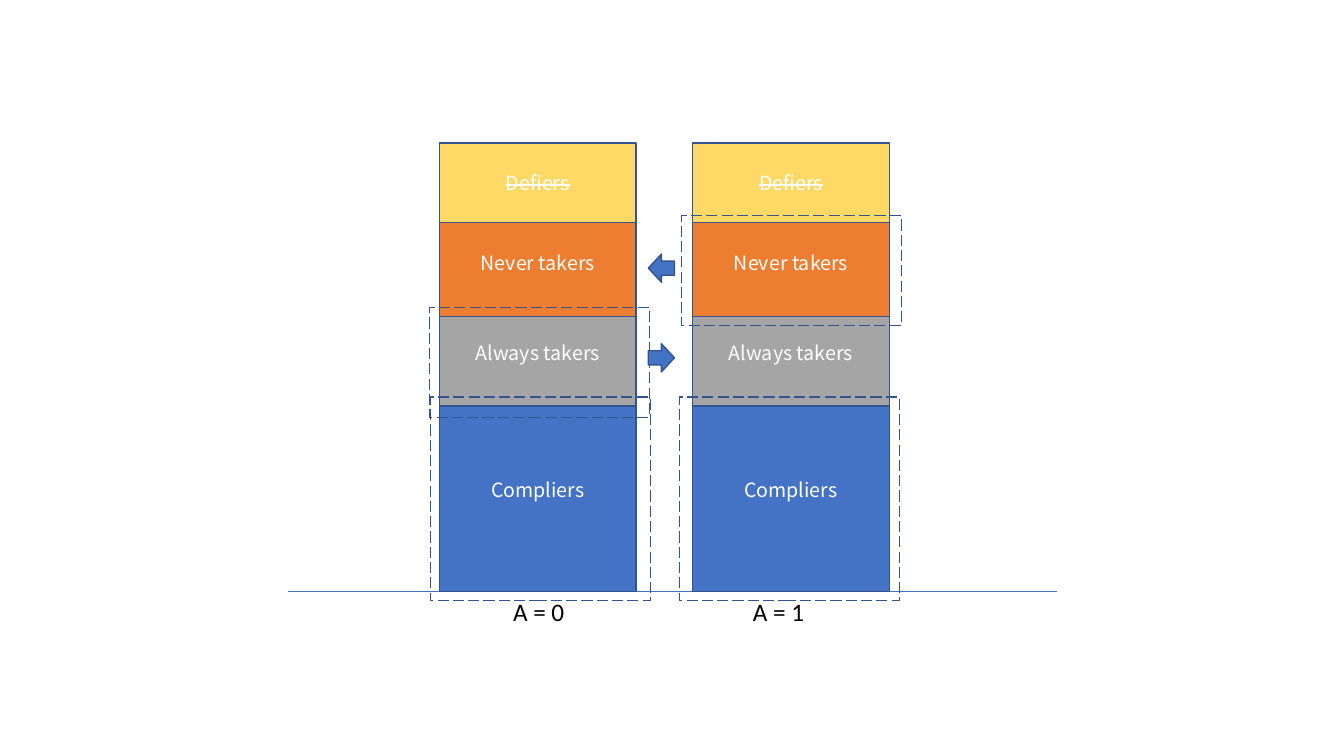
from pptx import Presentation
from pptx.dml.color import RGBColor
from pptx.enum.dml import MSO_LINE
from pptx.enum.shapes import MSO_CONNECTOR, MSO_SHAPE
from pptx.enum.text import MSO_ANCHOR, MSO_AUTO_SIZE, PP_ALIGN
from pptx.oxml.ns import qn
from pptx.util import Inches, Pt
from lxml.etree import SubElement

BLUE, EDGE = "4472C4", "325491"
BASELINE = 5.87
BAR_WIDTH, FRAME_WIDTH = 1.95, 2.18
COMPLIERS_HEIGHT, FRAME_HEIGHT = 2.02, 1.09

# Strata from the bottom up: name, top, height, fill, struck out
STRATA = [
    ("Compliers", 3.85, COMPLIERS_HEIGHT, BLUE, False),
    ("Always takers", 2.96, 1.07, "A5A5A5", False),
    ("Never takers", 2.07, 1.07, "ED7D31", False),
    ("Defiers", 1.42, 0.79, "FFD966", True),
]


def color(hex_code):
    return RGBColor.from_string(hex_code)


def inches(*lengths):
    return [Inches(length) for length in lengths]


def add_run(paragraph, text, font, size, hex_code):
    run = paragraph.add_run()
    run.text = text
    run.font.name = font
    run.font.size = Pt(size)
    run.font.color.rgb = color(hex_code)
    return run


def add_block(slide, kind, box, fill=None):
    """Outlined shape; without a fill it is a dashed frame."""
    block = slide.shapes.add_shape(kind, *inches(*box))
    block.shadow.inherit = False
    block.line.color.rgb = color(EDGE)
    block.line.width = Pt(1)
    if fill:
        block.fill.solid()
        block.fill.fore_color.rgb = color(fill)
    else:
        block.fill.background()
        block.line.dash_style = MSO_LINE.LONG_DASH
    return block


def add_baseline(slide, left, right):
    axis = slide.shapes.add_connector(
        MSO_CONNECTOR.STRAIGHT, *inches(left, BASELINE, right, BASELINE))
    axis.line.color.rgb = color(BLUE)
    axis.line.width = Pt(0.5)
    SubElement(axis._element.spPr, qn("a:effectLst"))


def add_bar(slide, left):
    """One stacked bar, drawn upwards so each stratum overlaps the one below."""
    for name, top, height, fill, struck in STRATA:
        stratum = add_block(slide, MSO_SHAPE.RECTANGLE,
                            (left, top, BAR_WIDTH, height), fill)
        frame = stratum.text_frame
        frame.vertical_anchor = MSO_ANCHOR.MIDDLE
        frame.paragraphs[0].alignment = PP_ALIGN.CENTER
        run = add_run(frame.paragraphs[0], name, "Noto Sans CJK JP", 14, "FFFFFF")
        if struck:
            run.font._element.set("strike", "sngStrike")


def add_arm_label(slide, left, text):
    label = slide.shapes.add_textbox(*inches(left, BASELINE, 1.1, 0.4))
    label.text_frame.word_wrap = True
    label.text_frame.auto_size = MSO_AUTO_SIZE.SHAPE_TO_FIT_TEXT
    add_run(label.text_frame.paragraphs[0], text, "Calibri", 18, "000000")


def add_frames(slide):
    """Dashed frames around the groups observed in each arm."""
    for left, top, height in [(4.27, 3.94, COMPLIERS_HEIGHT),
                              (4.26, 3.05, FRAME_HEIGHT),
                              (6.74, 3.94, COMPLIERS_HEIGHT),
                              (6.76, 2.14, FRAME_HEIGHT)]:
        add_block(slide, MSO_SHAPE.RECTANGLE, (left, top, FRAME_WIDTH, height))


def add_arrows(slide, left):
    for top, rotation in [(3.41, 0), (2.52, 180)]:
        arrow = add_block(slide, MSO_SHAPE.RIGHT_ARROW,
                          (left, top, 0.26, 0.28), BLUE)
        arrow.rotation = rotation


def main():
    deck = Presentation()
    deck.slide_width, deck.slide_height = inches(13.33, 7.5)
    slide = deck.slides.add_slide(deck.slide_layouts[6])

    add_baseline(slide, 2.86, 10.48)
    for bar_left, label_left, arm in [(6.87, 7.37, "A = 1"), (4.36, 4.99, "A = 0")]:
        add_bar(slide, bar_left)
        add_arm_label(slide, label_left, arm)
    add_frames(slide)
    add_arrows(slide, 6.43)

    deck.save("out.pptx")


if __name__ == "__main__":
    main()
